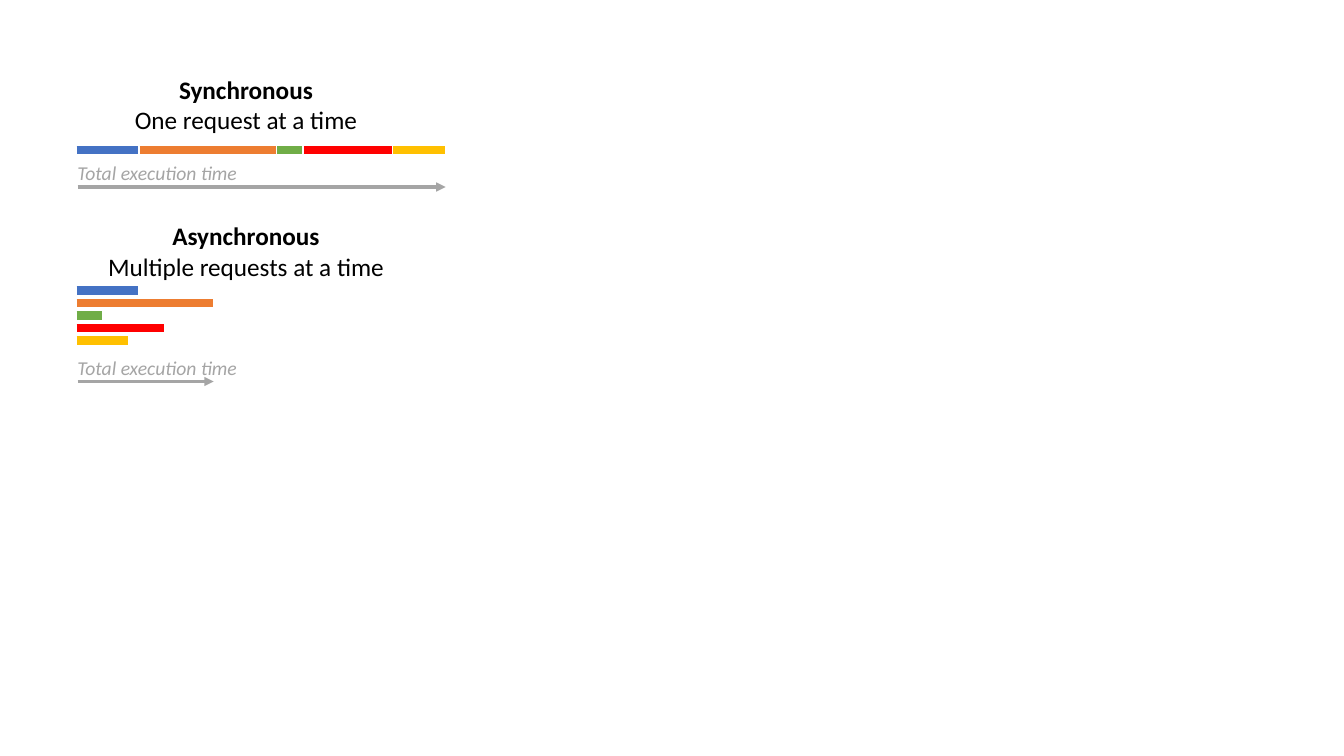
import pptx
import pptx.dml.color
import pptx.enum.dml
import pptx.enum.shapes
import pptx.enum.text
import pptx.oxml
import pptx.oxml.ns
import pptx.util

RGB = pptx.dml.color.RGBColor
BLACK = RGB(0x00, 0x00, 0x00)
GRAY = RGB(0xA5, 0xA5, 0xA5)
BLUE = RGB(0x44, 0x72, 0xC4)
ORANGE = RGB(0xED, 0x7D, 0x31)
GREEN = RGB(0x70, 0xAD, 0x47)
RED = RGB(0xFF, 0x00, 0x00)
YELLOW = RGB(0xFF, 0xC0, 0x00)
ALIGN = pptx.enum.text.PP_ALIGN
Inches, Pt = pptx.util.Inches, pptx.util.Pt

prs = pptx.Presentation()
prs.slide_width, prs.slide_height = Inches(13.33), Inches(7.5)
s = prs.slides.add_slide(prs.slide_layouts[6])


def add_line(x1, x2, y, color, width, arrow=False):
    sp = s.shapes.add_connector(
        pptx.enum.shapes.MSO_CONNECTOR.STRAIGHT,
        Inches(x1), Inches(y), Inches(x2), Inches(y))
    sp.line.color.rgb = color
    sp.line.width = Pt(width)
    if arrow:
        ln = sp.line._get_or_add_ln()
        tail = pptx.oxml.ns.qn("a:tailEnd")
        ln.append(ln.makeelement(tail, {"type": "triangle"}))
    effects = pptx.oxml.ns.qn("a:effectLst")
    sp._element.spPr.append(sp._element.makeelement(effects, {}))


def add_text(x, y, w, h, align, lines):
    sp = s.shapes.add_textbox(Inches(x), Inches(y), Inches(w), Inches(h))
    tf = sp.text_frame
    tf.word_wrap = False
    tf.auto_size = pptx.enum.text.MSO_AUTO_SIZE.SHAPE_TO_FIT_TEXT
    for i, (text, color, font) in enumerate(lines):
        p = tf.add_paragraph() if i else tf.paragraphs[0]
        p.alignment = align
        r = p.add_run()
        r.text = text
        r.font.color.rgb = color
        for name, value in {"name": "Calibri", **font}.items():
            setattr(r.font, name, value)


# Shared grid: left edge, column centre, bar gaps
LEFT, CENTER = 0.76, 2.44
GAP, ROW = 0.015, 0.125
REQUESTS = [(BLUE, 0.61), (ORANGE, 1.35), (GREEN, 0.25),
            (RED, 0.87), (YELLOW, 0.51)]

# Heading, subtitle, text width, heading top, first bar, label top, arrow end, stacked
sections = [
    ("Synchronous", "One request at a time", 2.44, 0.69, 1.49, 1.55, 4.42, False),
    ("Asynchronous", "Multiple requests at a time", 2.97, 2.14, 2.88, 3.48, 2.12, True),
]

for heading, subtitle, width, top, bar_y, label_y, arrow_x, stacked in sections:
    # Heading
    add_text(CENTER - width / 2, top, width, 0.71, ALIGN.CENTER, [
        (heading, BLACK, {"size": Pt(18), "bold": True}),
        (subtitle, BLACK, {"size": Pt(18), "bold": False})])

    # Request bars: end to end, or one per row
    x, y = LEFT, bar_y
    for color, length in REQUESTS:
        add_line(x, x + length, y, color, 6)
        if stacked:
            y += ROW
        else:
            x += length + GAP

    # Total time label and arrow
    add_line(LEFT + 0.01, arrow_x, label_y + 0.305, GRAY, 2.25, arrow=True)
    add_text(LEFT - 0.09, label_y, 1.8, 0.34, ALIGN.LEFT, [
        ("Total execution time", GRAY, {"size": Pt(14), "italic": True})])

prs.save("out.pptx")
